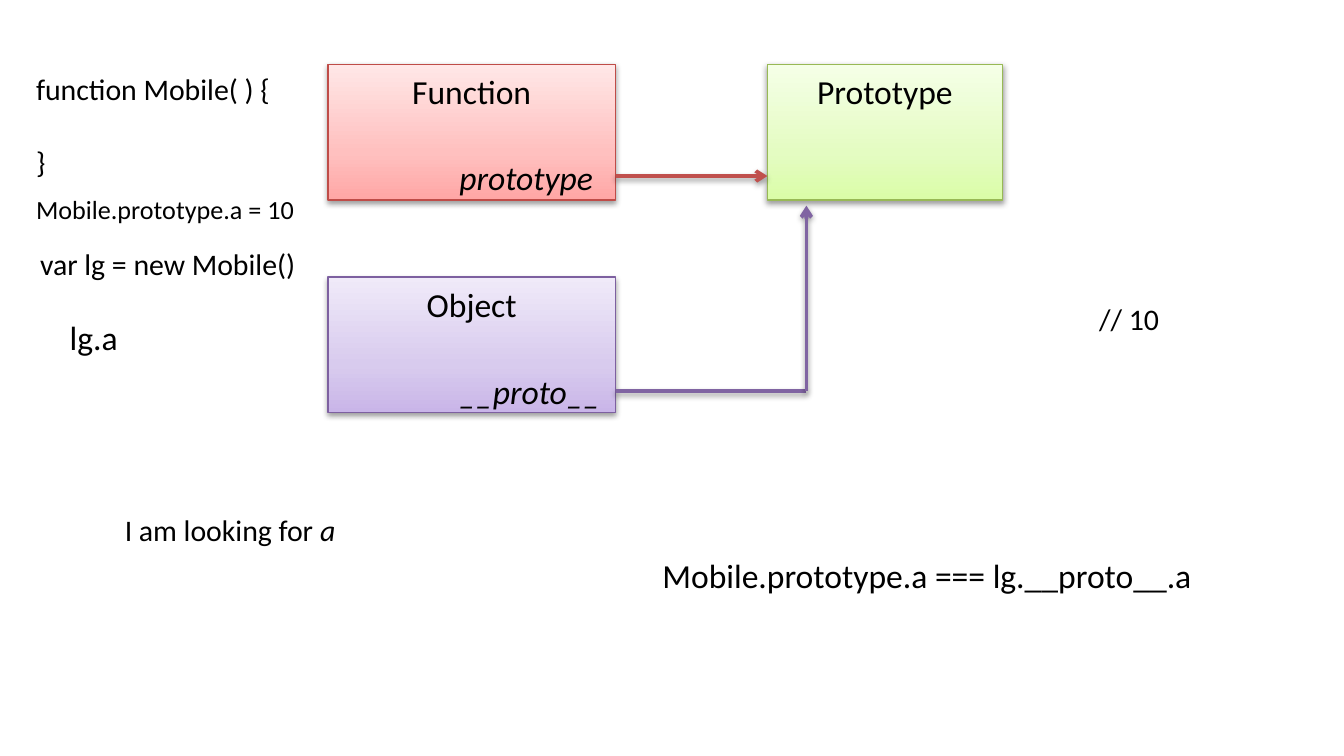
from copy import deepcopy
from dataclasses import dataclass

from lxml import etree
from pptx import Presentation
from pptx.dml.color import RGBColor
from pptx.enum.shapes import MSO_CONNECTOR, MSO_SHAPE
from pptx.enum.text import MSO_ANCHOR, PP_ALIGN
from pptx.oxml.ns import qn
from pptx.util import Inches, Pt

RECTANGLE = MSO_SHAPE.RECTANGLE
STRAIGHT = MSO_CONNECTOR.STRAIGHT
TOP = MSO_ANCHOR.TOP
LEFT, CENTER = PP_ALIGN.LEFT, PP_ALIGN.CENTER

COLORS = {
    "text": "000000",
    "shadow": "000000",
    "function_line": "BF4C48",
    "prototype_line": "98B955",
    "object_line": "7D60A0",
    "prototype_arrow": "C0504D",
    "proto_arrow": "8064A2",
}
GRADIENTS = {
    "function": ("FFA6A5", "FFC0BF", "FFE7E7"),
    "prototype": ("DAFDA7", "E4FCC2", "F5FFE7"),
    "object": ("C9B5E8", "D8CBEE", "F0EAF9"),
}
STOP_POSITIONS = (0, 0.35, 1)
FONT = "Calibri"
BOX_HEIGHT = 1.01
LEFT_COLUMN, BOX_WIDTH = 2.44, 2.14
BOX_RIGHT = LEFT_COLUMN + BOX_WIDTH
PROTOTYPE_LEFT = 5.71
CORNER_X, CORNER_Y = 6, 2.91


@dataclass
class Box:
    kind: str
    title: str
    left: float
    top: float
    width: float


@dataclass
class Span:
    text: str
    italic: bool = False


@dataclass
class Label:
    left: float
    top: float
    width: float
    height: float
    size: int
    paragraphs: list[list[Span]]
    gap: float = 0


@dataclass
class Link:
    start: tuple[float, float]
    end: tuple[float, float]
    color: str
    arrow: bool = True


BOXES = [
    Box("function", "Function", LEFT_COLUMN, 0.48, BOX_WIDTH),
    Box("prototype", "Prototype", PROTOTYPE_LEFT, 0.48, 1.75),
    Box("object", "Object", LEFT_COLUMN, 2.06, BOX_WIDTH),
]
LINKS = [
    Link((BOX_RIGHT, 1.31), (PROTOTYPE_LEFT, 1.31), "prototype_arrow"),
    Link((BOX_RIGHT, CORNER_Y), (CORNER_X, CORNER_Y), "proto_arrow", arrow=False),
    Link((CORNER_X, CORNER_Y), (CORNER_X, 1.53), "proto_arrow"),
]
LABELS = [
    Label(3.32, 1.12, 1.22, 0.4, 18, [[Span("prototype", True)]]),
    Label(3.32, 2.71, 1.26, 0.4, 18, [[Span("__proto__", True)]]),
    Label(0.17, 0.48, 1.96, 0.91, 16,
          [[Span("function Mobile( ) {")], [Span("}")]], gap=19.5),
    Label(0.2, 1.78, 2.13, 0.37, 16, [[Span("var lg = new Mobile()")]]),
    Label(0.83, 3.76, 1.78, 0.37, 16,
          [[Span("I am looking for "), Span("a", True)]]),
    Label(8.08, 2.19, 0.65, 0.37, 16, [[Span("// 10")]]),
    Label(0.42, 2.31, 0.56, 0.4, 18, [[Span("lg.a")]]),
    Label(0.17, 1.39, 2.14, 0.34, 14, [[Span("Mobile.prototype.a = 10")]]),
    Label(4.83, 4.08, 4.18, 0.4, 18,
          [[Span("Mobile.prototype.a === lg.__proto__.a")]]),
]


def rgb(name: str) -> RGBColor:
    return RGBColor.from_string(COLORS[name])


def add_span(para, span: Span, size: int) -> None:
    run = para.add_run()
    run.text = span.text
    formats = {"name": FONT, "size": Pt(size), "italic": span.italic}
    for attribute, value in formats.items():
        setattr(run.font, attribute, value)
    run.font.color.rgb = rgb("text")


def add_shadow(shape) -> None:
    """Add a soft shadow straight below; the line must be set beforehand."""
    effects = etree.SubElement(shape.element.spPr, qn("a:effectLst"))
    shadow = etree.SubElement(
        effects, qn("a:outerShdw"), blurRad=str(Pt(3.1)), dist=str(Pt(1.6)),
        dir="5400000", rotWithShape="0")
    color = etree.SubElement(shadow, qn("a:srgbClr"), val=COLORS["shadow"])
    etree.SubElement(color, qn("a:alpha"), val="38000")


def fill_gradient(shape, colors: tuple[str, ...]) -> None:
    """Fill from bottom to top, with a third stop added to the usual two."""
    shape.fill.gradient()
    shape.fill.gradient_angle = 90
    stop_list = shape.element.spPr.find(".//" + qn("a:gsLst"))
    stop_list.append(deepcopy(stop_list[0]))
    for stop, color, position in zip(shape.fill.gradient_stops, colors, STOP_POSITIONS):
        stop.color.rgb = RGBColor.from_string(color)
        stop.position = position


def add_box(page, box: Box) -> None:
    shape = page.shapes.add_shape(
        RECTANGLE, Inches(box.left), Inches(box.top),
        Inches(box.width), Inches(BOX_HEIGHT))
    fill_gradient(shape, GRADIENTS[box.kind])
    shape.line.color.rgb = rgb(f"{box.kind}_line")
    shape.line.width = Pt(0.75)
    add_shadow(shape)
    frame = shape.text_frame
    frame.vertical_anchor = TOP
    para = frame.paragraphs[0]
    para.alignment = CENTER
    add_span(para, Span(box.title), 18)


def add_link(page, link: Link) -> None:
    points = [Inches(length) for length in (*link.start, *link.end)]
    connector = page.shapes.add_connector(STRAIGHT, *points)
    connector.line.color.rgb = rgb(link.color)
    connector.line.width = Pt(2)
    if link.arrow:
        line = connector.element.spPr.find(qn("a:ln"))
        etree.SubElement(line, qn("a:tailEnd"), type="arrow")
    add_shadow(connector)


def add_label(page, label: Label) -> None:
    shape = page.shapes.add_textbox(
        Inches(label.left), Inches(label.top),
        Inches(label.width), Inches(label.height))
    frame = shape.text_frame
    frame.word_wrap = False
    for index, spans in enumerate(label.paragraphs):
        para = frame.add_paragraph() if index else frame.paragraphs[0]
        para.alignment = LEFT
        if index:
            para.space_before = Pt(label.gap)
        for span in spans:
            add_span(para, span, label.size)


def main() -> None:
    deck = Presentation()
    deck.slide_width = Inches(10)
    deck.slide_height = deck.slide_width * 9 // 16
    page = deck.slides.add_slide(deck.slide_layouts[6])
    for box in BOXES:
        add_box(page, box)
    for link in LINKS:
        add_link(page, link)
    for label in LABELS:
        add_label(page, label)
    deck.save("out.pptx")


if __name__ == "__main__":
    main()
